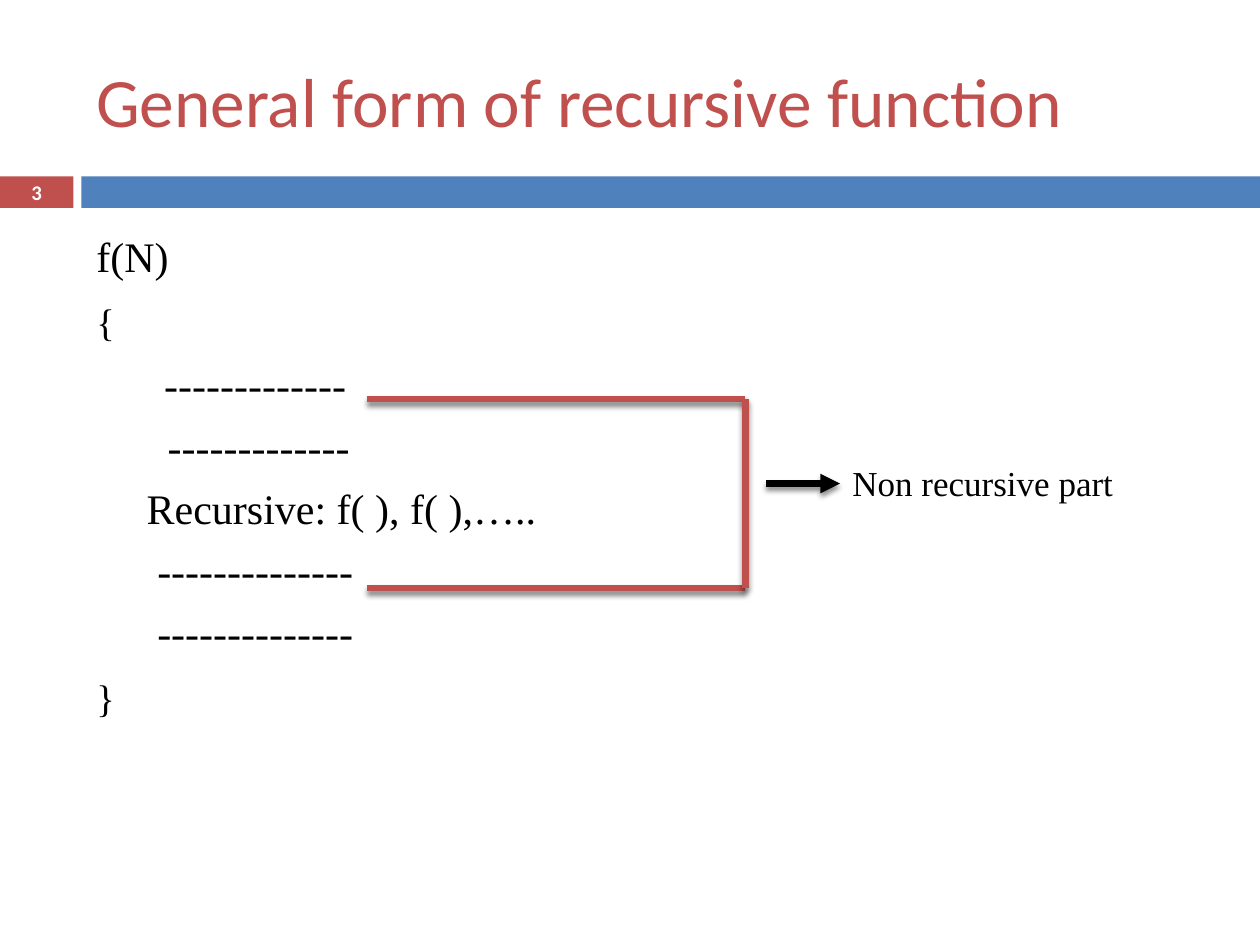
from dataclasses import dataclass

import pptx
import pptx.dml.color
import pptx.enum.shapes
import pptx.enum.text
import pptx.oxml
import pptx.oxml.ns
import pptx.util

Pt = pptx.util.Pt
ANCHOR = pptx.enum.text.MSO_ANCHOR
ALIGN = pptx.enum.text.PP_ALIGN
COLORS = {"red": "C0504D", "blue": "4F81BD", "black": "000000", "white": "FFFFFF"}
SERIF, SANS = "Times New Roman", "Calibri"
INDENT = 28.8


@dataclass
class Line:
    text: str
    size: float = 24
    indent: float = 0
    before: float = 0
    font: str = SERIF
    color: str = "black"
    bold: bool = False
    align: ALIGN = ALIGN.LEFT


@dataclass
class Stroke:
    x1: float
    y1: float
    x2: float
    y2: float
    color: str = "red"
    arrow: bool = False


CODE = [
    Line("f(N)"),
    Line("{", size=22, before=9.5),
    Line("-" * 13, indent=INDENT + 10, before=8),
    Line("-" * 13, indent=INDENT + 12, before=6.7),
    Line("Recursive: f( ), f( ),…..", indent=INDENT, before=6.7),
    Line("-" * 14, indent=INDENT + 6, before=6.7),
    Line("-" * 14, indent=INDENT + 6, before=6.7),
    Line("}", size=22, before=9.5),
]

LEFT, RIGHT, TOP, BOTTOM = 210, 426, 228, 336
STROKES = [
    Stroke(LEFT, TOP, RIGHT, TOP),
    Stroke(LEFT, BOTTOM, RIGHT, BOTTOM),
    Stroke(RIGHT, TOP, RIGHT, BOTTOM),
    Stroke(438, 276.3, 480, 276.3, color="black", arrow=True),
]


def rgb(name: str) -> pptx.dml.color.RGBColor:
    return pptx.dml.color.RGBColor.from_string(COLORS[name])


def add_bar(s, x: float, y: float, w: float, h: float, color: str) -> None:
    sp = s.shapes.add_shape(pptx.enum.shapes.MSO_SHAPE.RECTANGLE, Pt(x), Pt(y), Pt(w), Pt(h))
    sp.shadow.inherit = False
    sp.fill.solid()
    sp.fill.fore_color.rgb = rgb(color)
    sp.line.fill.background()


def add_text(s, x: float, y: float, w: float, h: float, lines: list[Line],
             anchor: ANCHOR = ANCHOR.TOP, margin_top: float = 3.6) -> None:
    tf = s.shapes.add_textbox(Pt(x), Pt(y), Pt(w), Pt(h)).text_frame
    tf.word_wrap = True
    tf.vertical_anchor = anchor
    tf.margin_top = Pt(margin_top)
    for i, line in enumerate(lines):
        p = tf.add_paragraph() if i else tf.paragraphs[0]
        p.alignment = line.align
        p.space_before = Pt(line.before)
        if line.indent:
            pPr = p._p.get_or_add_pPr()
            pPr.set("marL", str(Pt(line.indent)))
            pPr.set("indent", "0")
        r = p.add_run()
        r.text = line.text
        r.font.name = line.font
        r.font.size = Pt(line.size)
        r.font.bold = line.bold
        r.font.color.rgb = rgb(line.color)


def add_stroke(s, stroke: Stroke) -> None:
    """Draw a thick line with a soft shadow below it and an optional arrowhead."""
    sp = s.shapes.add_connector(
        pptx.enum.shapes.MSO_CONNECTOR.STRAIGHT,
        Pt(stroke.x1), Pt(stroke.y1), Pt(stroke.x2), Pt(stroke.y2))
    sp.line.width = Pt(3.75)
    sp.line.color.rgb = rgb(stroke.color)
    ns = pptx.oxml.ns.nsdecls("a")
    if stroke.arrow:
        sp.line._get_or_add_ln().append(
            pptx.oxml.parse_xml(f'<a:tailEnd {ns} type="triangle"/>'))
    sp._element.spPr.append(pptx.oxml.parse_xml(
        f'<a:effectLst {ns}><a:outerShdw blurRad="{Pt(3)}" dist="{Pt(2.4)}" '
        f'dir="5400000" rotWithShape="0"><a:srgbClr val="{COLORS["black"]}">'
        '<a:alpha val="45000"/></a:srgbClr></a:outerShdw></a:effectLst>'))


def main() -> None:
    prs = pptx.Presentation()
    prs.slide_width, prs.slide_height = Pt(720), Pt(540)
    s = prs.slides.add_slide(prs.slide_layouts[6])

    add_bar(s, 0, 100.8, 42, 18, "red")
    add_bar(s, 46.5, 100.8, 673.5, 18, "blue")
    add_text(s, 48, 126, 642, 354, CODE, margin_top=6)
    add_text(s, 48, 18, 642, 78,
             [Line("General form of recursive function", 39.6, font=SANS, color="red")],
             ANCHOR.MIDDLE)
    for stroke in STROKES:
        add_stroke(s, stroke)
    add_text(s, 480, 260, 174, 31.5, [Line("Non recursive part", 20)])
    add_text(s, 0, 100, 42, 19.2,
             [Line("3", 11.9, font=SANS, color="white", bold=True, align=ALIGN.CENTER)],
             ANCHOR.MIDDLE)
    prs.save("out.pptx")


if __name__ == "__main__":
    main()
